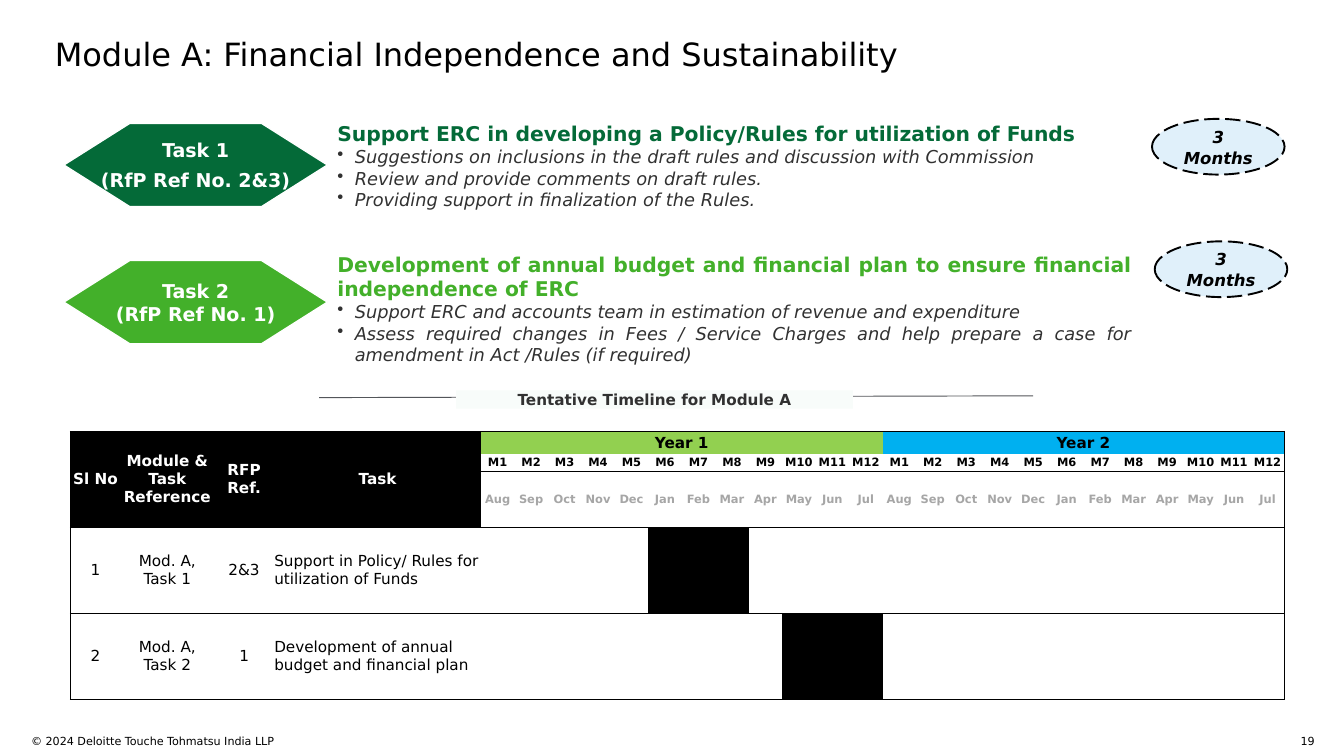
from lxml import etree
from pptx import Presentation
from pptx.dml.color import RGBColor
from pptx.enum.dml import MSO_LINE, MSO_PATTERN
from pptx.enum.shapes import MSO_CONNECTOR, MSO_SHAPE
from pptx.enum.text import MSO_ANCHOR, PP_ALIGN
from pptx.oxml.ns import qn
from pptx.util import Inches, Pt

LEFT, CENTER, RIGHT, JUSTIFY = PP_ALIGN.LEFT, PP_ALIGN.CENTER, PP_ALIGN.RIGHT, PP_ALIGN.JUSTIFY
TOP, MIDDLE = MSO_ANCHOR.TOP, MSO_ANCHOR.MIDDLE
RECTANGLE, OVAL = MSO_SHAPE.RECTANGLE, MSO_SHAPE.OVAL
STRAIGHT = MSO_CONNECTOR.STRAIGHT
LONG_DASH = MSO_LINE.LONG_DASH
DARK_HORIZONTAL = MSO_PATTERN.DARK_HORIZONTAL

BLACK = RGBColor(0x00, 0x00, 0x00)
WHITE = RGBColor(0xFF, 0xFF, 0xFF)
DARK_GREEN = RGBColor(0x04, 0x6A, 0x38)
GREEN = RGBColor(0x43, 0xB0, 0x2A)
DARK_GREY = RGBColor(0x31, 0x31, 0x31)
RULE_GREY = RGBColor(0x53, 0x56, 0x5A)
MONTH_GREY = RGBColor(0xA6, 0xA6, 0xA6)
PALE_BLUE = RGBColor(0xE0, 0xF0, 0xFA)
CAPTION_FILL = RGBColor(0xF8, 0xFC, 0xFA)
YEAR_1_FILL = RGBColor(0x92, 0xD0, 0x50)
YEAR_2_FILL = RGBColor(0x00, 0xB0, 0xF0)
BAR_BACK = RGBColor(0xC5, 0xD9, 0xF1)

FONT = "DejaVu Sans"
NO_GRID_STYLE = "{2D5ABB26-0587-4C30-8999-92F81FD0307C}"
BULLET_INDENT = Inches(0.19)

TASKS = [
    (1.35, DARK_GREEN, ["Task 1", "(RfP Ref No. 2&3)"], 6, (3.69, 1.33, 8.69, 0.98),
     "Support ERC in developing a Policy/Rules for utilization of Funds",
     ["Suggestions on inclusions in the draft rules and discussion with Commission",
      "Review and provide comments on draft rules.",
      "Providing support in finalization of the Rules."],
     (12.6, 1.3, 1.45, 0.61)),
    (2.85, GREEN, ["Task 2", "(RfP Ref No. 1)"], 0, (3.69, 2.76, 8.69, 1.25),
     "Development of annual budget and financial plan to ensure financial independence of ERC",
     ["Support ERC and accounts team in estimation of revenue and expenditure",
      "Assess required changes in Fees / Service Charges and help prepare a case for "
      "amendment in Act /Rules (if required)"],
     (12.63, 2.64, 1.45, 0.61)),
]

HEADERS = ["Sl No", "Module & Task Reference", "RFP Ref.", "Task"]
HEADER_WIDTHS = [0.55, 1.02, 0.66, 2.26]
ROW_HEIGHTS = [0.25, 0.19, 0.61, 0.94, 0.94]
YEARS = [("Year 1", YEAR_1_FILL), ("Year 2", YEAR_2_FILL)]
MONTHS = ["Aug", "Sep", "Oct", "Nov", "Dec", "Jan", "Feb", "Mar", "Apr", "May", "Jun", "Jul"]
# Row texts, then the first and last month of the bar
SCHEDULE = [
    (["1", "Mod. A, Task 1", "2&3", "Support in Policy/ Rules for utilization of Funds"], 6, 8),
    (["2", "Mod. A, Task 2", "1", "Development of annual budget and financial plan"], 10, 12),
]


def style_font(paragraph, size, color, bold=False, italic=False):
    font = paragraph.font
    font.name, font.size = FONT, Pt(size)
    font.bold, font.italic = bold, italic
    font.color.rgb = color


def prepare_frame(shape, anchor=TOP, horizontal=0, vertical=0):
    frame = shape.text_frame
    frame.word_wrap = True
    frame.vertical_anchor = anchor
    frame.margin_left = frame.margin_right = Inches(horizontal)
    frame.margin_top = frame.margin_bottom = Inches(vertical)
    return frame


def add_label(slide, box, text, size, align=LEFT):
    shape = slide.shapes.add_textbox(*map(Inches, box))
    paragraph = prepare_frame(shape).paragraphs[0]
    paragraph.text, paragraph.alignment = text, align
    style_font(paragraph, size, BLACK)


def add_duration(slide, box):
    oval = slide.shapes.add_shape(OVAL, *map(Inches, box))
    oval.shadow.inherit = False
    oval.fill.solid()
    oval.fill.fore_color.rgb = PALE_BLUE
    oval.line.color.rgb = BLACK
    oval.line.width = Pt(1.5)
    oval.line.dash_style = LONG_DASH
    paragraph = prepare_frame(oval, MIDDLE, 0.1, 0.1).paragraphs[0]
    paragraph.text, paragraph.alignment = "3 Months", CENTER
    paragraph.line_spacing = 1.06
    style_font(paragraph, 13, BLACK, bold=True, italic=True)


def add_hexagon(slide, box, color, lines, gap):
    left, top, width, height = box
    right, bottom, middle = left + width, top + height, top + height / 2
    inner_left, inner_right = left + width / 4, right - width / 4
    corners = [(left, middle), (inner_left, top), (inner_right, top),
               (right, middle), (inner_right, bottom)]
    builder = slide.shapes.build_freeform(Inches(inner_left), Inches(bottom))
    builder.add_line_segments([(Inches(x), Inches(y)) for x, y in corners], close=True)
    hexagon = builder.convert_to_shape()
    hexagon.shadow.inherit = False
    hexagon.fill.solid()
    hexagon.fill.fore_color.rgb = color
    hexagon.line.color.rgb = WHITE
    hexagon.line.width = Pt(1)
    frame = prepare_frame(hexagon, MIDDLE, 0.1, 0.05)
    for index, line in enumerate(lines):
        paragraph = frame.add_paragraph() if index else frame.paragraphs[0]
        paragraph.text, paragraph.alignment = line, CENTER
        if index:
            paragraph.space_before = Pt(gap)
        style_font(paragraph, 15, WHITE, bold=True)


def add_description(slide, box, color, heading, bullets):
    frame = prepare_frame(slide.shapes.add_textbox(*map(Inches, box)))
    paragraph = frame.paragraphs[0]
    paragraph.text, paragraph.alignment = heading, JUSTIFY
    style_font(paragraph, 16, color, bold=True)
    for text in bullets:
        paragraph = frame.add_paragraph()
        paragraph.text, paragraph.alignment = text, JUSTIFY
        properties = paragraph._p.get_or_add_pPr()
        properties.set("marL", str(BULLET_INDENT))
        properties.set("indent", str(-BULLET_INDENT))
        etree.SubElement(properties, qn("a:buChar")).set("char", "•")
        style_font(paragraph, 14, DARK_GREY, italic=True)


def add_timeline_heading(slide, box):
    left, top, width, height = box
    rule = slide.shapes.add_connector(
        STRAIGHT, Inches(left - 1.5), Inches(top + 0.08), Inches(left + 6.31), Inches(top + 0.06))
    rule.line.color.rgb = RULE_GREY
    rule.line.width = Pt(0.75)
    etree.SubElement(rule._element.spPr, qn("a:effectLst"))
    caption = slide.shapes.add_shape(RECTANGLE, *map(Inches, box))
    caption.shadow.inherit = False
    caption.fill.solid()
    caption.fill.fore_color.rgb = CAPTION_FILL
    caption.line.fill.background()
    paragraph = prepare_frame(caption).paragraphs[0]
    paragraph.text, paragraph.alignment = "Tentative Timeline for Module A", CENTER
    style_font(paragraph, 12, DARK_GREY, bold=True)


def add_borders(cell, sides):
    properties = cell._tc.get_or_add_tcPr()
    for side in sides:
        line = etree.SubElement(properties, qn("a:ln" + side), w=str(Pt(1)))
        fill = etree.SubElement(line, qn("a:solidFill"))
        etree.SubElement(fill, qn("a:srgbClr"), val=str(BLACK))


def fill_cell(cell, text, size=12, color=BLACK, bold=True, fill=None, align=CENTER):
    paragraph = cell.text_frame.paragraphs[0]
    paragraph.text, paragraph.alignment = text, align
    style_font(paragraph, size, color, bold)
    if fill is not None:
        cell.fill.solid()
        cell.fill.fore_color.rgb = fill


def add_timeline(slide, box):
    left, top, width, height = box
    first, months = len(HEADERS), len(MONTHS)
    month_width = (width - sum(HEADER_WIDTHS)) / (months * len(YEARS))
    widths = HEADER_WIDTHS + [month_width] * (months * len(YEARS))
    frame = slide.shapes.add_table(len(ROW_HEIGHTS), len(widths), *map(Inches, box))
    table = frame.table
    table.first_row = table.horz_banding = False
    table._tbl.tblPr.find(qn("a:tableStyleId")).text = NO_GRID_STYLE
    for column, column_width in zip(table.columns, widths):
        column.width = Inches(column_width)
    for row, row_height in zip(table.rows, ROW_HEIGHTS):
        row.height = Inches(row_height)

    # Merged headings
    for column in range(first):
        table.cell(0, column).merge(table.cell(2, column))
    for year in range(len(YEARS)):
        start = first + year * months
        table.cell(0, start).merge(table.cell(0, start + months - 1))

    # Outline and row rules
    for row in range(len(ROW_HEIGHTS)):
        for column in range(len(widths)):
            cell = table.cell(row, column)
            cell.margin_left = cell.margin_right = cell.margin_top = cell.margin_bottom = 0
            cell.vertical_anchor = MIDDLE
            sides = {"L": column == 0,
                     "R": column + cell.span_width == len(widths),
                     "T": row in (0, 3, 4) or (row == 2 and column >= first),
                     "B": row == len(ROW_HEIGHTS) - 1}
            add_borders(cell, [side for side, drawn in sides.items() if drawn])

    # Headings, years and months
    for column, header in enumerate(HEADERS):
        fill_cell(table.cell(0, column), header, color=WHITE, fill=BLACK)
    for year, (name, fill) in enumerate(YEARS):
        start = first + year * months
        fill_cell(table.cell(0, start), name, fill=fill)
        for index, month in enumerate(MONTHS):
            fill_cell(table.cell(1, start + index), f"M{index + 1}", 9)
            fill_cell(table.cell(2, start + index), month, 9, MONTH_GREY)

    # Scheduled tasks with their bars
    for row, (texts, bar_start, bar_end) in enumerate(SCHEDULE, start=3):
        for column, text in enumerate(texts):
            align = LEFT if column == first - 1 else CENTER
            fill_cell(table.cell(row, column), text, bold=False, align=align)
        for month in range(bar_start, bar_end + 1):
            bar = table.cell(row, first + month - 1).fill
            bar.patterned()
            bar.pattern = DARK_HORIZONTAL
            bar.fore_color.rgb, bar.back_color.rgb = BLACK, BAR_BACK


def main():
    presentation = Presentation()
    presentation.slide_width, presentation.slide_height = Inches(14.7), Inches(8.27)
    slide = presentation.slides.add_slide(presentation.slide_layouts[6])
    add_label(slide, (0.6, 0.38, 13.46, 0.4), "Module A: Financial Independence and Sustainability", 25.2)
    for top, color, lines, gap, box, heading, bullets, duration_box in TASKS:
        add_hexagon(slide, (0.7, top, 2.88, 0.91), color, lines, gap)
        add_description(slide, box, color, heading, bullets)
        add_duration(slide, duration_box)
    add_timeline_heading(slide, (4.99, 4.27, 4.34, 0.2))
    add_timeline(slide, (0.77, 4.72, 13.28, sum(ROW_HEIGHTS)))
    add_label(slide, (0.34, 8.03, 6.46, 0.24), "© 2024 Deloitte Touche Tohmatsu India LLP", 8.8)
    add_label(slide, (14.01, 8.03, 0.37, 0.12), "19", 8.8, RIGHT)
    presentation.save("out.pptx")


if __name__ == "__main__":
    main()
